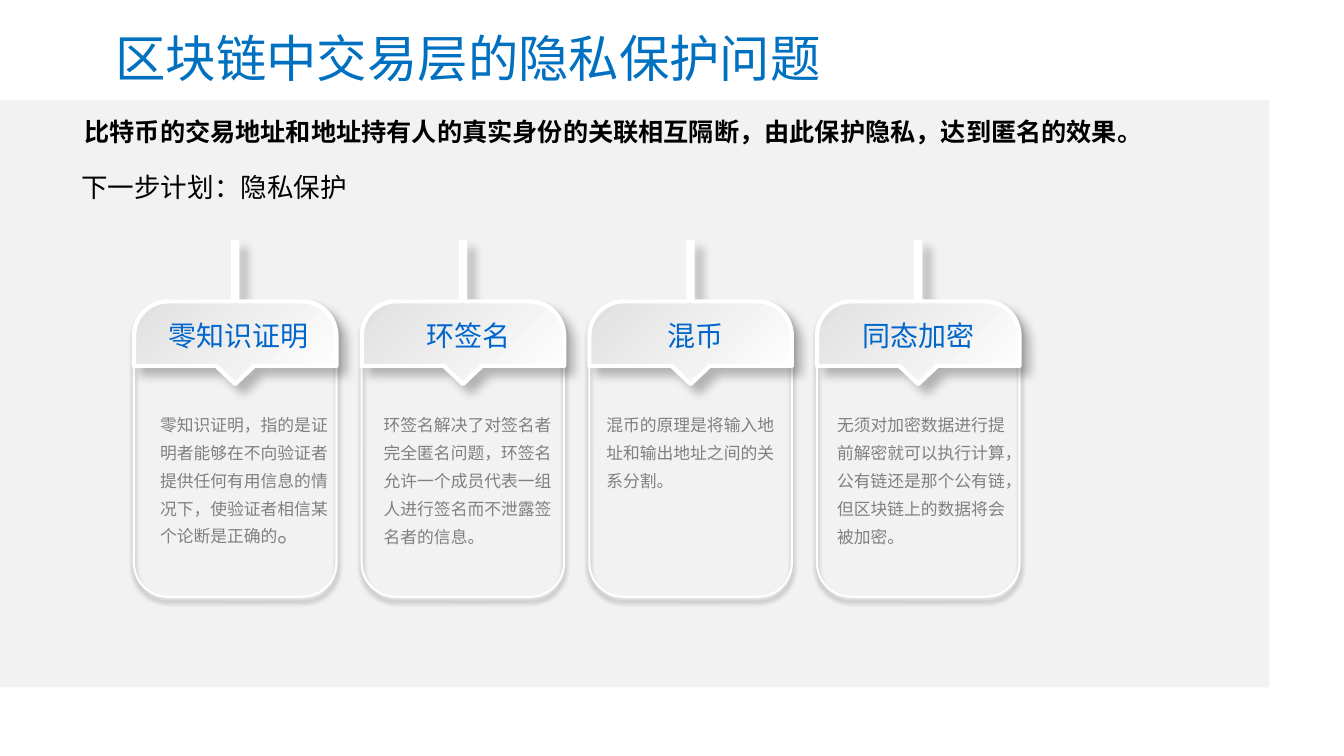
import math
from dataclasses import dataclass

from lxml import etree
from pptx import Presentation
from pptx.dml.color import RGBColor
from pptx.enum.shapes import MSO_SHAPE
from pptx.enum.text import MSO_AUTO_SIZE, PP_ALIGN
from pptx.oxml.ns import qn
from pptx.shapes.autoshape import Shape
from pptx.slide import Slide
from pptx.util import Inches, Pt

RECTANGLE = MSO_SHAPE.RECTANGLE
ROUNDED_RECTANGLE = MSO_SHAPE.ROUNDED_RECTANGLE
FIT_TEXT = MSO_AUTO_SIZE.SHAPE_TO_FIT_TEXT
LEFT = PP_ALIGN.LEFT
CENTER = PP_ALIGN.CENTER

CJK_FONT = "Noto Sans CJK SC"
LATIN_FONT = "Calibri"
WHITE = "FFFFFF"
PANEL_GRAY = "F2F2F2"
HEADER_GRAY = "D9D9D9"
BODY_GRAY = "808080"
BLACK = "000000"
TITLE_BLUE = "0070C0"
HEADING_BLUE = "0066CC"

CARD_LEFT = 1.33
CARD_STEP = 2.26
CARD_WIDTH = 2.01
CARD_TOP = 2.99
CARD_HEIGHT = 2.93
CORNER_RADIUS = 0.34
STEM_TOP = 2.4
HEADER_BOTTOM = 3.63
POINTER_BOTTOM = 3.81
POINTER_HALF_WIDTH = 0.19
STEM_HALF_WIDTH = 0.02
ARC_STEPS = 12


@dataclass
class TextStyle:
    size: float
    color: str
    font: str = CJK_FONT
    bold: bool = False
    align: PP_ALIGN = LEFT
    line_points: float | None = None


@dataclass
class Shadow:
    opacity: int
    blur: float
    distance: float
    angle: int


@dataclass
class Card:
    heading: str
    heading_left: float
    body: str
    body_left: float
    large_ending: str = ""


TITLE_STYLE = TextStyle(36, TITLE_BLUE, align=CENTER)
HEADING_STYLE = TextStyle(20, HEADING_BLUE, align=CENTER)
BODY_STYLE = TextStyle(12, BODY_GRAY, line_points=20)
SUMMARY_STYLE = TextStyle(18, BLACK, LATIN_FONT, bold=True)
PLAN_STYLE = TextStyle(19, BLACK, LATIN_FONT)
FRAME_SHADOW = Shadow(40, 4, 3, 90)
HEADER_SHADOW = Shadow(25, 7, 8, 45)

CARDS = [
    Card("零知识证明", 1.39,
         "零知识证明，指的是证明者能够在不向验证者提供任何有用信息的情况下，使验证者相信某个论断是正确的",
         1.49, "。"),
    Card("环签名", 3.67,
         "环签名解决了对签名者完全匿名问题，环签名允许一个成员代表一组人进行签名而不泄露签名者的信息。",
         3.71),
    Card("混币", 5.92, "混币的原理是将输入地址和输出地址之间的关系分割。", 5.92),
    Card("同态加密", 8.14,
         "无须对加密数据进行提前解密就可以执行计算，公有链还是那个公有链，但区块链上的数据将会被加密。",
         8.21),
]


def rgb(color: str) -> RGBColor:
    return RGBColor.from_string(color)


def add_text(slide: Slide, left: float, top: float, width: float, height: float,
             text: str, style: TextStyle, large_ending: str = "") -> None:
    box = slide.shapes.add_textbox(Inches(left), Inches(top), Inches(width), Inches(height))
    frame = box.text_frame
    frame.word_wrap = True
    frame.auto_size = FIT_TEXT
    paragraph = frame.paragraphs[0]
    paragraph.alignment = style.align
    if style.line_points:
        paragraph.line_spacing = Pt(style.line_points)
    paragraph.add_run().text = text
    if large_ending:
        ending = paragraph.add_run()
        ending.text = large_ending
        ending.font.size = Pt(18)
    font = paragraph.font
    font.size = Pt(style.size)
    font.bold = style.bold
    font.color.rgb = rgb(style.color)
    font.name = style.font
    properties = paragraph._p.pPr.find(qn("a:defRPr"))
    etree.SubElement(properties, qn("a:ea"), typeface=style.font)


def set_shadow(shape: Shape, shadow: Shadow) -> None:
    shape.shadow.inherit = False
    effects = shape._element.spPr.find(qn("a:effectLst"))
    outer = etree.SubElement(
        effects, qn("a:outerShdw"), blurRad=str(Pt(shadow.blur)), dist=str(Pt(shadow.distance)),
        dir=str(shadow.angle * 60000), algn="t", rotWithShape="0")
    color = etree.SubElement(outer, qn("a:srgbClr"), val=BLACK)
    etree.SubElement(color, qn("a:alpha"), val=str(shadow.opacity * 1000))


def set_line(shape: Shape, width: float) -> None:
    shape.line.color.rgb = rgb(WHITE)
    shape.line.width = Pt(width)


def corner(center_x: float, start_angle: int) -> list[tuple[float, float]]:
    angles = [math.radians(start_angle + 90 * step / ARC_STEPS) for step in range(ARC_STEPS + 1)]
    center_y = CARD_TOP + CORNER_RADIUS
    return [(center_x + CORNER_RADIUS * math.cos(angle),
             center_y + CORNER_RADIUS * math.sin(angle)) for angle in angles]


def add_header(slide: Slide, left: float) -> None:
    right = left + CARD_WIDTH
    middle = left + CARD_WIDTH / 2
    points = [
        (middle - STEM_HALF_WIDTH, STEM_TOP),
        (middle + STEM_HALF_WIDTH, STEM_TOP),
        (middle + STEM_HALF_WIDTH, CARD_TOP),
        *corner(right - CORNER_RADIUS, 270),
        (right, HEADER_BOTTOM),
        (middle + POINTER_HALF_WIDTH, HEADER_BOTTOM),
        (middle, POINTER_BOTTOM),
        (middle - POINTER_HALF_WIDTH, HEADER_BOTTOM),
        (left, HEADER_BOTTOM),
        *corner(left + CORNER_RADIUS, 180),
        (middle - STEM_HALF_WIDTH, CARD_TOP),
    ]
    vertices = [(Inches(x), Inches(y)) for x, y in points]
    builder = slide.shapes.build_freeform(*vertices[0])
    builder.add_line_segments(vertices[1:], close=True)
    header = builder.convert_to_shape()
    header.fill.gradient()
    header.fill.gradient_angle = 315
    for stop, position, color in zip(header.fill.gradient_stops, (0, 1), (HEADER_GRAY, WHITE)):
        stop.position = position
        stop.color.rgb = rgb(color)
    set_line(header, 3)
    set_shadow(header, HEADER_SHADOW)


def add_card(slide: Slide, left: float, card: Card) -> None:
    frame = slide.shapes.add_shape(ROUNDED_RECTANGLE, Inches(left), Inches(CARD_TOP),
                                   Inches(CARD_WIDTH), Inches(CARD_HEIGHT))
    frame.fill.background()
    set_line(frame, 1.5)
    set_shadow(frame, FRAME_SHADOW)
    add_header(slide, left)
    add_text(slide, card.heading_left, 3.11, 1.96, 0.44, card.heading, HEADING_STYLE)
    add_text(slide, card.body_left, 3.99, 1.88, 1.47, card.body, BODY_STYLE, card.large_ending)


def main() -> None:
    presentation = Presentation()
    presentation.slide_width = Inches(13.34)
    presentation.slide_height = Inches(7.5)
    slide = presentation.slides.add_slide(presentation.slide_layouts[6])
    panel = slide.shapes.add_shape(RECTANGLE, 0, Inches(0.99), Inches(12.6), Inches(5.83))
    panel.fill.solid()
    panel.fill.fore_color.rgb = rgb(PANEL_GRAY)
    panel.line.fill.background()
    panel.shadow.inherit = False
    add_text(slide, 0.67, 0.22, 7.95, 0.71, "区块链中交易层的隐私保护问题", TITLE_STYLE)
    for index, card in enumerate(CARDS):
        add_card(slide, CARD_LEFT + index * CARD_STEP, card)
    add_text(slide, 0.74, 1.1, 11.52, 0.4,
             "比特币的交易地址和地址持有人的真实身份的关联相互隔断，由此保护隐私，达到匿名的效果。",
             SUMMARY_STYLE)
    add_text(slide, 0.71, 1.65, 6.61, 0.42, "下一步计划：隐私保护", PLAN_STYLE)
    presentation.save("out.pptx")


if __name__ == "__main__":
    main()
